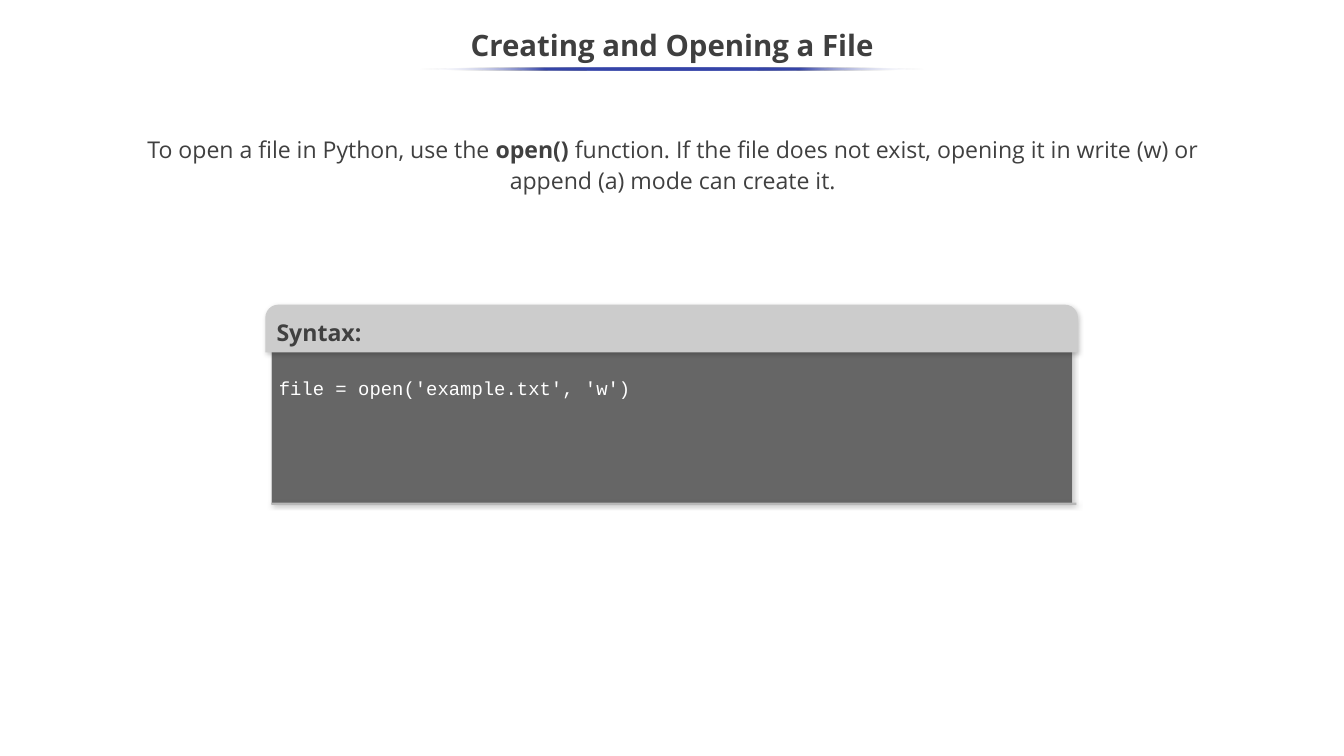
from lxml import etree
from pptx import Presentation
from pptx.dml.color import RGBColor
from pptx.enum.shapes import MSO_SHAPE
from pptx.enum.text import MSO_ANCHOR, PP_ALIGN
from pptx.oxml import parse_xml
from pptx.oxml.ns import nsdecls, qn
from pptx.util import Inches, Pt

CENTER, LEFT = PP_ALIGN.CENTER, PP_ALIGN.LEFT
TOP, MIDDLE = MSO_ANCHOR.TOP, MSO_ANCHOR.MIDDLE
RECTANGLE, ELLIPSE = MSO_SHAPE.RECTANGLE, MSO_SHAPE.OVAL
ROUNDED_TOP = MSO_SHAPE.ROUND_2_SAME_RECTANGLE

WHITE = RGBColor(0xFF, 0xFF, 0xFF)
BLACK = RGBColor(0, 0, 0)
INDIGO = RGBColor(0x36, 0x45, 0xA9)
TITLE_GRAY = RGBColor(0x3F, 0x3F, 0x3F)
TEXT_GRAY = RGBColor(0x40, 0x40, 0x40)
PANEL_GRAY = RGBColor(0x66, 0x66, 0x66)
HEADER_GRAY = RGBColor(0xCC, 0xCC, 0xCC)
EDGE_GRAY = RGBColor(0xB7, 0xB7, 0xB7)

BODY_FONT, CODE_FONT = "Open Sans", "Courier New"


def write_text(shape, runs, size, color, font=BODY_FONT, align=LEFT,
               anchor=TOP, spacing=1.15, inset=0.05):
    """Fill a shape with one paragraph of (text, bold) runs."""
    frame = shape.text_frame
    frame.word_wrap = True
    frame.vertical_anchor = anchor
    frame.margin_left = frame.margin_right = Inches(0.1)
    frame.margin_top = frame.margin_bottom = Inches(inset)
    paragraph = frame.paragraphs[0]
    paragraph.alignment = align
    paragraph.line_spacing = spacing
    for text, bold in runs:
        run = paragraph.add_run()
        run.text = text
        run.font.name = font
        run.font.size = Pt(size)
        run.font.bold = bold
        run.font.color.rgb = color


def add_text(slide, box, runs, size, color, **style):
    textbox = slide.shapes.add_textbox(*map(Inches, box))
    write_text(textbox, runs, size, color, **style)


def add_block(slide, kind, box, fill=None):
    block = slide.shapes.add_shape(kind, *map(Inches, box))
    block.shadow.inherit = False
    block.line.fill.background()
    if fill is not None:
        block.fill.solid()
        block.fill.fore_color.rgb = fill
    return block


def add_soft_shadow(block):
    effects = block._element.spPr.find(qn("a:effectLst"))
    shadow = etree.SubElement(effects, qn("a:outerShdw"), blurRad=str(Pt(4.5)),
                              dist=str(Pt(1.5)), dir=str(47 * 60000),
                              algn="tl", rotWithShape="0")
    color = etree.SubElement(shadow, qn("a:srgbClr"), val=str(BLACK))
    etree.SubElement(color, qn("a:alpha"), val="20000")


def fade_ends(block, color):
    """Fill with a colour that fades to clear white at both ends."""
    clear = f'<a:srgbClr val="{WHITE}"><a:alpha val="0"/></a:srgbClr>'
    solid = f'<a:srgbClr val="{color}"/>'
    stops = "".join(
        f'<a:gs pos="{percent * 1000}">{clear if percent in (0, 100) else solid}</a:gs>'
        for percent in range(0, 101, 25))
    geometry = block._element.spPr.find(qn("a:prstGeom"))
    geometry.addnext(parse_xml(
        f'<a:gradFill {nsdecls("a")} rotWithShape="1"><a:gsLst>{stops}</a:gsLst>'
        f'<a:lin ang="{180 * 60000}" scaled="0"/></a:gradFill>'))


def add_title(slide, left, top, width, height):
    add_text(slide, (left, top, width, height),
             [("Creating and Opening a File", True)], 28, TITLE_GRAY,
             align=CENTER, anchor=MIDDLE, spacing=0.9)
    rule_width = 6.67
    underline = add_block(slide, ELLIPSE, (left + (width - rule_width) / 2,
                                           top + 0.64, rule_width, 0.04))
    fade_ends(underline, INDIGO)


def add_explanation(slide, left, top, width, height):
    runs = [
        ("To open a file in Python, use the ", False),
        ("open()", True),
        (" function. If the file does not exist, opening it in write (w) or "
         "append (a) mode can create it.", False),
    ]
    add_text(slide, (left, top, width, height), runs, 22, TEXT_GRAY,
             align=CENTER, inset=0)


def add_syntax_panel(slide, left, top, width, height):
    """Draw the header, code area and bottom edge of the syntax panel."""
    code_left, code_width = left + 0.08, width - 0.15
    code_area = add_block(slide, RECTANGLE,
                          (code_left, top + 0.19, code_width, height - 0.21), PANEL_GRAY)
    code_area.line.color.rgb = HEADER_GRAY
    code_area.line.width = Pt(0.75)

    header = add_block(slide, ROUNDED_TOP, (left, top, width, 0.63), HEADER_GRAY)
    header.adjustments[0] = 0.275
    header.adjustments[1] = 0
    write_text(header, [("Syntax:", True)], 22, TEXT_GRAY, anchor=MIDDLE, inset=0.1)

    bottom_edge = add_block(slide, RECTANGLE,
                            (code_left, top + height - 0.03, code_width + 0.05, 0.03),
                            EDGE_GRAY)
    for block in (code_area, header, bottom_edge):
        add_soft_shadow(block)

    add_text(slide, (code_left, top + 0.86, code_width, 0.55),
             [("file = open('example.txt', 'w')", False)], 18, WHITE,
             font=CODE_FONT, spacing=1.14)


def main():
    deck = Presentation()
    deck.slide_width, deck.slide_height = Inches(17.78), Inches(10)
    slide = deck.slides.add_slide(deck.slide_layouts[6])
    slide.background.fill.solid()
    slide.background.fill.fore_color.rgb = WHITE
    add_title(slide, 0, 0.25, 17.78, 0.75)
    add_explanation(slide, 1.41, 1.73, 14.98, 0.99)
    add_syntax_panel(slide, 3.51, 4.03, 10.75, 2.65)
    deck.save("out.pptx")


if __name__ == "__main__":
    main()
